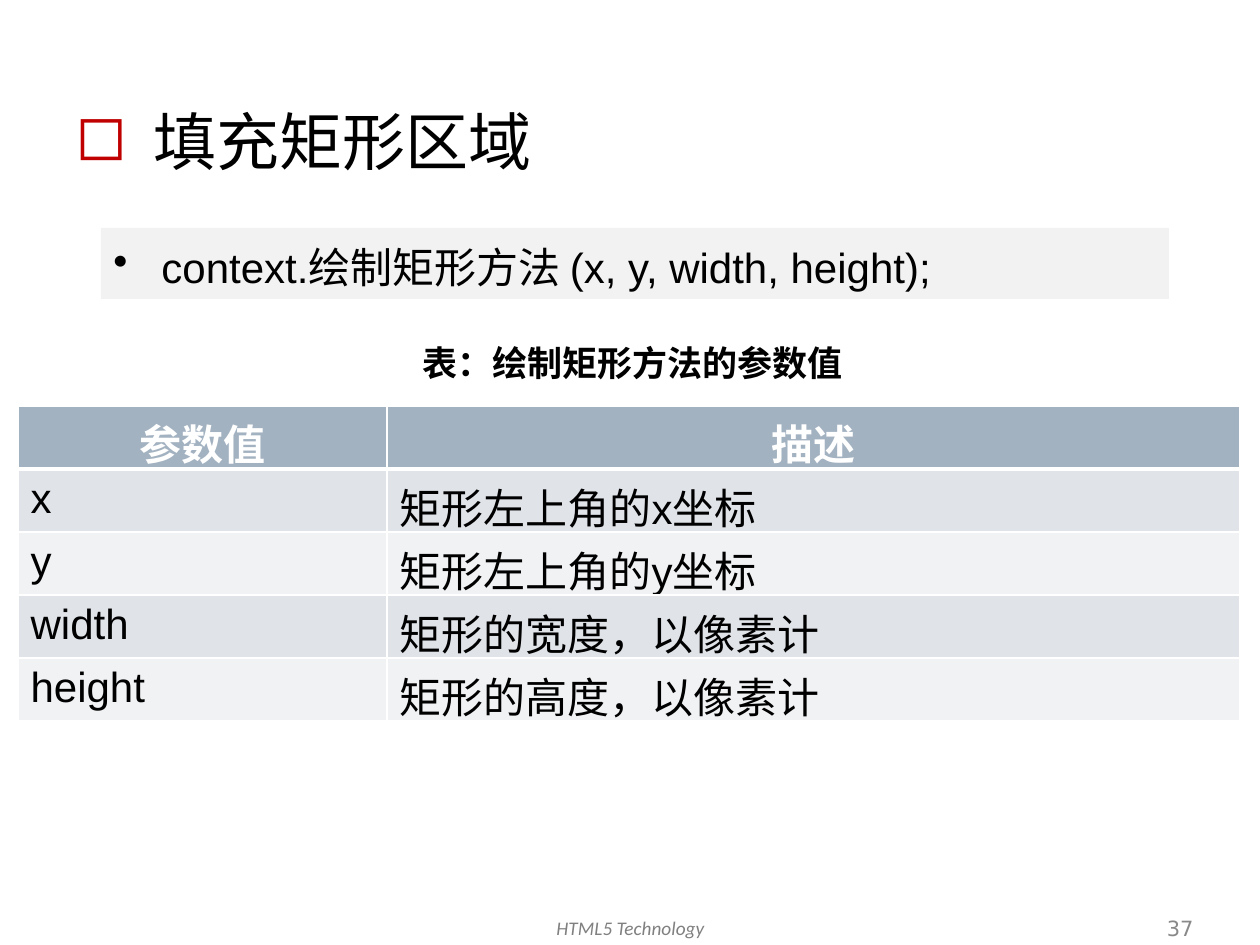
import lxml.etree
import pptx
import pptx.dml.color
import pptx.enum.shapes
import pptx.enum.text
import pptx.oxml.ns
import pptx.util

EMU_PER_PX = 914400 // 126
ALIGN = pptx.enum.text.PP_ALIGN
ANCHOR = pptx.enum.text.MSO_ANCHOR
BLACK, WHITE = "000000", "FFFFFF"
HEADER_FILL, BODY_FILLS = "A3B2C1", ("E0E4E9", "F0F2F4")


def px(length):
    return pptx.util.Emu(length * EMU_PER_PX)


def rgb(color):
    return pptx.dml.color.RGBColor.from_string(color)


def set_values(target, values):
    for name, value in values.items():
        setattr(target, name, value)


def add_element(parent, tag, **attributes):
    return lxml.etree.SubElement(parent, pptx.oxml.ns.qn(tag), attributes)


class SlideBuilder:
    """Holds the text style and the current slide."""

    font_name = "Arial"

    def __init__(self, slide):
        self.slide = slide

    def fill_text(self, frame, text, size, color=BLACK, bullet=None,
                  paragraph_format=None, **font_format):
        """Fill the first paragraph; bullet is (character, indent, color)."""
        paragraph = frame.paragraphs[0]
        set_values(paragraph, {"alignment": ALIGN.LEFT, **(paragraph_format or {})})
        if bullet:
            character, indent, bullet_color = bullet
            properties = paragraph._p.get_or_add_pPr()
            properties.set("marL", str(px(indent)))
            properties.set("indent", str(px(-indent)))
            add_element(add_element(properties, "a:buClr"), "a:srgbClr", val=bullet_color)
            add_element(properties, "a:buChar", char=character)
        run = paragraph.add_run()
        run.text = text
        set_values(run.font, {"name": self.font_name, "size": pptx.util.Pt(size), **font_format})
        run.font.color.rgb = rgb(color)

    def text(self, box, text, size, anchor=ANCHOR.TOP, wrap=True, **style):
        frame = self.slide.shapes.add_textbox(*map(px, box)).text_frame
        set_values(frame, {"word_wrap": wrap, "vertical_anchor": anchor})
        self.fill_text(frame, text, size, **style)

    def panel(self, box, fill, text, size, **style):
        shape = self.slide.shapes.add_shape(
            pptx.enum.shapes.MSO_SHAPE.RECTANGLE, *map(px, box))
        shape.shadow.inherit = False
        shape.fill.solid()
        shape.fill.fore_color.rgb = rgb(fill)
        shape.line.fill.background()
        set_values(shape.text_frame, {"word_wrap": True, "vertical_anchor": ANCHOR.TOP})
        self.fill_text(shape.text_frame, text, size, **style)

    def borders(self, cell, widths):
        """Draw white cell borders; widths maps each side to points."""
        properties = cell._tc.get_or_add_tcPr()
        for side, width in widths.items():
            line = add_element(properties, f"a:ln{side}", w=str(pptx.util.Pt(width)))
            add_element(add_element(line, "a:solidFill"), "a:srgbClr", val=WHITE)

    def table(self, left, top, column_widths, row_height, rows, size):
        table = self.slide.shapes.add_table(
            len(rows), len(column_widths), px(left), px(top),
            px(sum(column_widths)), px(row_height * len(rows))).table
        for column, width in zip(table.columns, column_widths):
            column.width = px(width)
        for row_index, values in enumerate(rows):
            table.rows[row_index].height = px(row_height)
            header = row_index == 0
            fill = HEADER_FILL if header else BODY_FILLS[(row_index - 1) % 2]
            widths = {"L": 1, "R": 1, "T": 3 if row_index == 1 else 1, "B": 3 if header else 1}
            for column_index, value in enumerate(values):
                cell = table.cell(row_index, column_index)
                self.borders(cell, widths)
                cell.fill.solid()
                cell.fill.fore_color.rgb = rgb(fill)
                self.fill_text(
                    cell.text_frame, value, size, WHITE if header else BLACK, bold=header,
                    paragraph_format={"alignment": ALIGN.CENTER if header else ALIGN.LEFT})


def main():
    presentation = pptx.Presentation()
    set_values(presentation, {"slide_width": px(1260), "slide_height": px(945)})
    builder = SlideBuilder(presentation.slides.add_slide(presentation.slide_layouts[6]))

    builder.text((63, 105, 1178, 123), "填充矩形区域", 36, bullet=("◻", 78, "C00000"),
                 paragraph_format={"line_spacing": 0.9})
    builder.text((406, 910, 449, 42), "HTML5 Technology", 11, color="808080",
                 name="Calibri", italic=True, paragraph_format={"alignment": ALIGN.CENTER})
    builder.text((922, 910, 284, 37), "37", 12, anchor=ANCHOR.MIDDLE, color="898989",
                 name="DejaVu Sans", paragraph_format={"alignment": ALIGN.RIGHT})
    builder.panel((101, 228, 1068, 71), "F2F2F2", "context.绘制矩形方法 (x, y, width, height);", 24,
                  bullet=("•", 48, BLACK),
                  paragraph_format={"line_spacing": pptx.util.Pt(33)})
    builder.table(18, 406, (369, 853), 63, [
        ("参数值", "描述"),
        ("x", "矩形左上角的x坐标"),
        ("y", "矩形左上角的y坐标"),
        ("width", "矩形的宽度，以像素计"),
        ("height", "矩形的高度，以像素计"),
    ], 24)
    builder.text((410, 335, 452, 55), "表：绘制矩形方法的参数值", 20,
                 anchor=ANCHOR.BOTTOM, wrap=False, bold=True)

    presentation.save("out.pptx")


if __name__ == "__main__":
    main()
